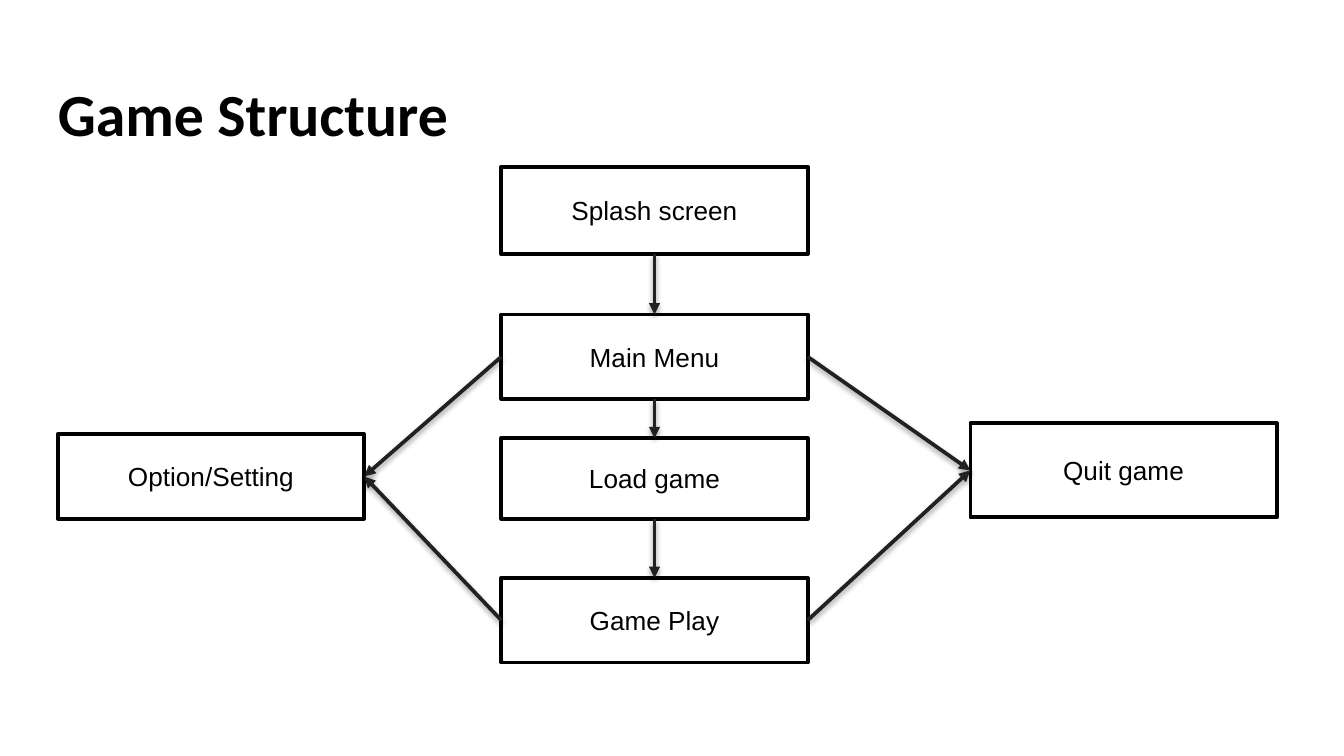
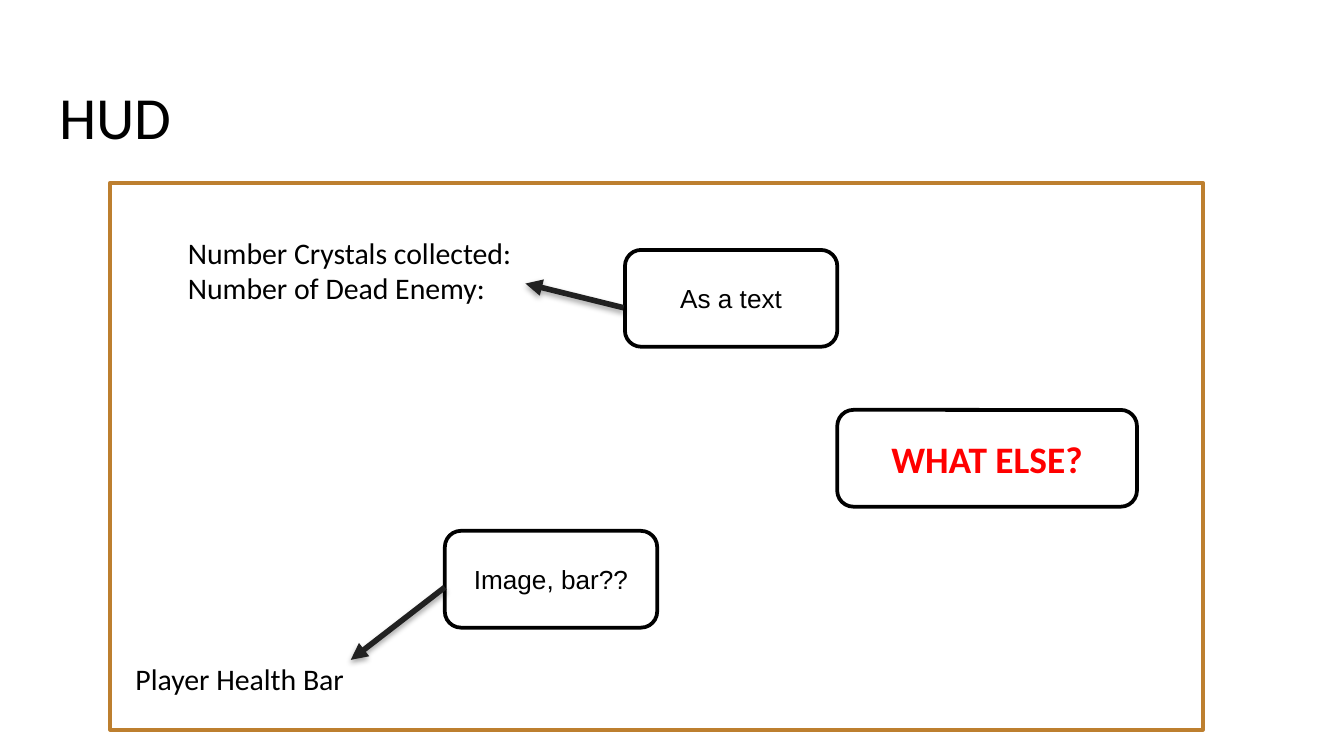
from pptx import Presentation
from pptx.dml.color import RGBColor
from pptx.enum.shapes import MSO_CONNECTOR, MSO_SHAPE
from pptx.enum.text import MSO_ANCHOR, MSO_AUTO_SIZE, PP_ALIGN
from pptx.oxml import parse_xml
from pptx.oxml.ns import nsdecls
from pptx.util import Inches, Pt

# Shared style
BLACK, WHITE, RED = "000000", "FFFFFF", "FF0000"
ARROW, FRAME = "212121", "BD7F2F"
HEADING, BODY = "Calibri", "Arial"
TOP, LEFT, BOTTOM, RIGHT = range(4)  # connection sites of a box


def color(value):
    return RGBColor.from_string(value)


def set_font(p, size, name=BODY, ink=BLACK, bold=False):
    p.font.size, p.font.name, p.font.bold = Pt(size), name, bold
    p.font.color.rgb = color(ink)


def add_slide(prs, title, left, top, bold=False):
    slide = prs.slides.add_slide(prs.slide_layouts[5])
    sp = slide.shapes.title
    sp.left, sp.top = Inches(left), Inches(top)
    sp.width, sp.height = Inches(9.32), Inches(0.63)
    tf = sp.text_frame
    tf.text = title
    tf.auto_size = MSO_AUTO_SIZE.NONE
    tf.vertical_anchor = MSO_ANCHOR.TOP
    tf.margin_left = tf.margin_right = Inches(0.1)
    tf.margin_top = tf.margin_bottom = Inches(0.1)
    tf.paragraphs[0].alignment = PP_ALIGN.LEFT
    set_font(tf.paragraphs[0], 32, HEADING, bold=bold)
    return slide


def add_box(shapes, box, text="", kind=MSO_SHAPE.RECTANGLE, fill=None,
            line=BLACK, size=14, **font):
    sp = shapes.add_shape(kind, *map(Inches, box))
    sp.shadow.inherit = False
    if fill:
        sp.fill.solid()
        sp.fill.fore_color.rgb = color(fill)
    else:
        sp.fill.background()
    sp.line.color.rgb = color(line)
    sp.line.width = Pt(2)
    if text:
        tf = sp.text_frame
        tf.text = text
        tf.vertical_anchor = MSO_ANCHOR.MIDDLE
        tf.paragraphs[0].alignment = PP_ALIGN.CENTER
        set_font(tf.paragraphs[0], size, **font)
    return sp


def add_label(shapes, box, text):
    tf = shapes.add_textbox(*map(Inches, box)).text_frame
    tf.word_wrap = True
    tf.vertical_anchor = MSO_ANCHOR.MIDDLE
    tf.text = text
    for p in tf.paragraphs:
        set_font(p, 16, HEADING)


def add_arrow(shapes, start=(0, 0), end=(0, 0), width=2, distance=1.6, alpha=38):
    line = shapes.add_connector(MSO_CONNECTOR.STRAIGHT,
                                *map(Inches, (*start, *end)))
    line.line.color.rgb = color(ARROW)
    line.line.width = Pt(width)
    # Arrowhead and soft shadow below the line
    ln = line.line._get_or_add_ln()
    ln.append(parse_xml(f'<a:tailEnd {nsdecls("a")} type="triangle"/>'))
    line._element.spPr.append(parse_xml(
        f'<a:effectLst {nsdecls("a")}><a:outerShdw blurRad="{Pt(3.1)}" '
        f'dist="{Pt(distance)}" dir="5400000" rotWithShape="0">'
        f'<a:srgbClr val="{BLACK}"><a:alpha val="{alpha * 1000}"/></a:srgbClr>'
        '</a:outerShdw></a:effectLst>'))
    return line


def link(shapes, source, source_site, target, target_site):
    line = add_arrow(shapes)
    line.begin_connect(source, source_site)
    line.end_connect(target, target_site)


def game_structure(prs):
    shapes = add_slide(prs, "Game Structure", 0.33, 0.47, bold=True).shapes

    def screen(text, left, top, height):
        return add_box(shapes, (left, top, 2.28, height), text)

    # Screens
    middle = 3.73
    splash = screen("Splash screen", middle, 1.24, 0.65)
    menu = screen("Main Menu", middle, 2.34, 0.63)
    play = screen("Game Play", middle, 4.3, 0.63)
    load = screen("Load game", middle, 3.26, 0.6)
    leave = screen("Quit game", 7.22, 3.15, 0.7)
    options = screen("Option/Setting", 0.43, 3.23, 0.63)

    # Out to both sides, then the flow down the middle
    for source in (menu, play):
        link(shapes, source, RIGHT, leave, LEFT)
    for source in (menu, play):
        link(shapes, source, LEFT, options, RIGHT)
    flow = [splash, menu, load, play]
    for source, target in zip(flow, flow[1:]):
        link(shapes, source, BOTTOM, target, TOP)


def hud(prs):
    shapes = add_slide(prs, "HUD ", 0.34, 0.49).shapes

    # Game screen with its readouts
    group = shapes.add_group_shape().shapes
    add_box(group, (0.82, 1.36, 8.13, 4.07), line=FRAME)
    add_label(group, (1.3, 1.54, 3.26, 0.94),
              "Number Crystals collected:\nNumber of Dead Enemy:")
    add_label(group, (0.91, 4.67, 3, 0.76), "Player Health Bar")

    def note(text, left, top, width=1.58, **font):
        add_box(shapes, (left, top, width, 0.72), text,
                MSO_SHAPE.ROUNDED_RECTANGLE, WHITE, **font)

    def pointer(start, end):
        add_arrow(shapes, start, end, width=3, distance=1.8, alpha=35)

    # Notes and their pointers
    note("As a text", 4.65, 1.86)
    pointer((4.64, 2.29), (3.91, 2.11))
    note("Image, bar??", 3.31, 3.95)
    pointer((3.31, 4.37), (2.61, 4.91))
    note("WHAT ELSE?", 6.23, 3.05, 2.23,
         size=20, name=HEADING, ink=RED, bold=True)


def main():
    prs = Presentation()
    # Widescreen, 16:9
    prs.slide_width = Inches(10)
    prs.slide_height = Inches(10) * 9 // 16
    game_structure(prs)
    hud(prs)
    prs.save("out.pptx")


main()
